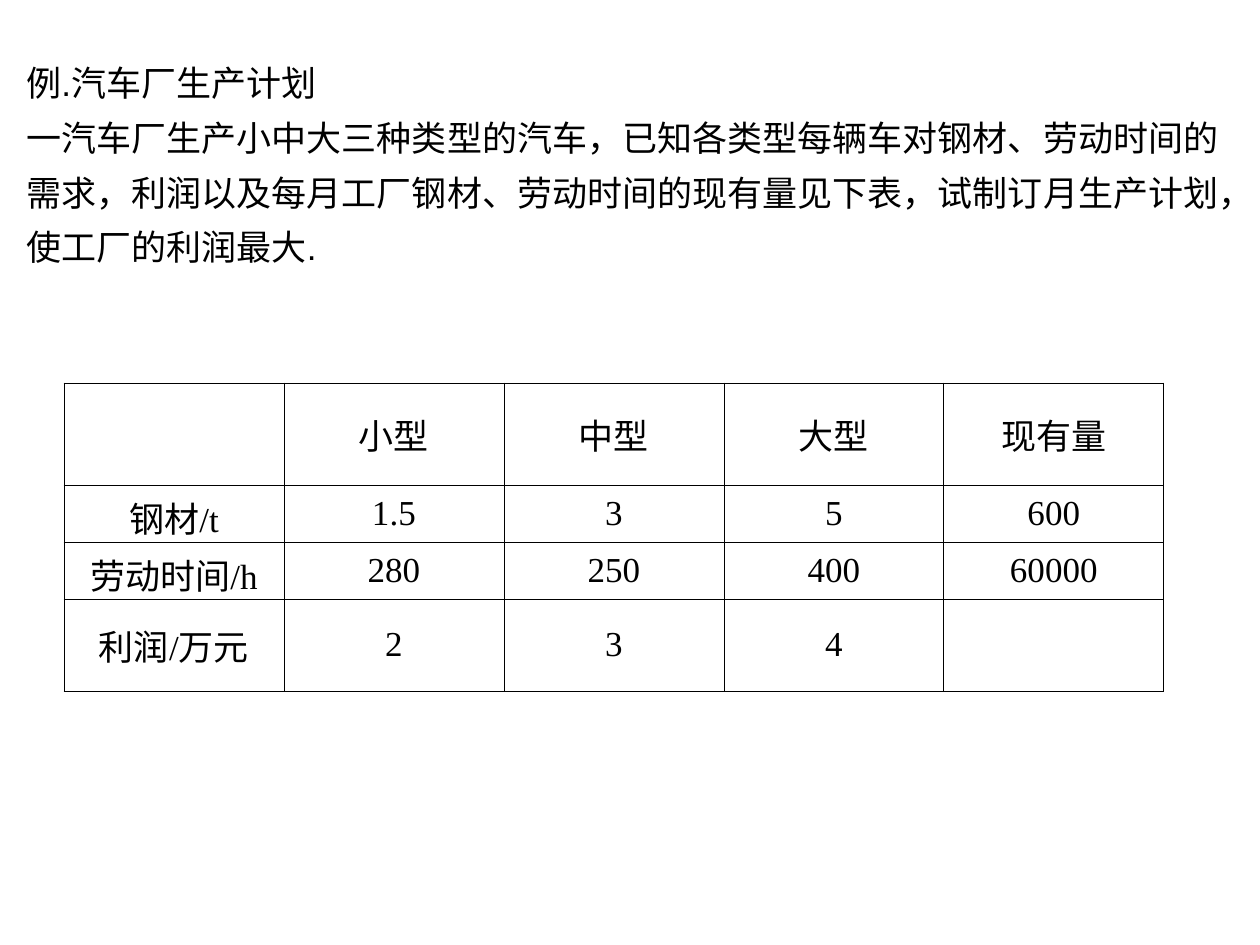
from lxml import etree
from pptx import Presentation
from pptx.dml.color import RGBColor
from pptx.enum.text import MSO_ANCHOR, PP_ALIGN
from pptx.oxml.ns import qn
from pptx.util import Emu, Pt

PX = 914400 / 126
BLACK = RGBColor(0x00, 0x00, 0x00)
LEFT, CENTER = PP_ALIGN.LEFT, PP_ALIGN.CENTER
MIDDLE = MSO_ANCHOR.MIDDLE


def px(length):
    return Emu(round(length * PX))


def write(para, text, font="Times New Roman", align=CENTER, spacing=None):
    para.alignment = align
    if spacing:
        para.line_spacing = spacing
    span = para.add_run()
    span.text = text
    span.font.name = font
    span.font.size = Pt(20)
    span.font.color.rgb = BLACK


deck = Presentation()
deck.slide_width, deck.slide_height = px(1260), px(945)
page = deck.slides.add_slide(deck.slide_layouts[6])

# Problem statement
STATEMENT = [
    "例.汽车厂生产计划",
    "一汽车厂生产小中大三种类型的汽车，已知各类型每辆车对钢材、劳动时间的",
    "需求，利润以及每月工厂钢材、劳动时间的现有量见下表，试制订月生产计划，",
    "使工厂的利润最大.",
]
box = page.shapes.add_textbox(px(14), px(43), px(1252), px(232))
frame = box.text_frame
frame.word_wrap = False
for index, line in enumerate(STATEMENT):
    para = frame.add_paragraph() if index else frame.paragraphs[0]
    write(para, line, font="Arial", align=LEFT, spacing=1.3)

# Production data table
ROWS = [
    ["", "小型", "中型", "大型", "现有量"],
    ["钢材/t", "1.5", "3", "5", "600"],
    ["劳动时间/h", "280", "250", "400", "60000"],
    ["利润/万元", "2", "3", "4", ""],
]
ROW_HEIGHTS = [102, 57, 57, 92]
COLUMN_WIDTH = 220
table = page.shapes.add_table(
    len(ROWS), len(ROWS[0]), px(64), px(383),
    px(COLUMN_WIDTH * len(ROWS[0])), px(sum(ROW_HEIGHTS))).table
table.first_row = table.horz_banding = False
for column in table.columns:
    column.width = px(COLUMN_WIDTH)

for row_index, (values, height) in enumerate(zip(ROWS, ROW_HEIGHTS)):
    table.rows[row_index].height = px(height)
    for column_index, value in enumerate(values):
        cell = table.cell(row_index, column_index)
        cell.vertical_anchor = MIDDLE
        if value:
            write(cell.text_frame.paragraphs[0], value)

        # Thin black borders come before the fill in the cell properties
        properties = cell._tc.get_or_add_tcPr()
        for side in ("a:lnL", "a:lnR", "a:lnT", "a:lnB"):
            border = etree.SubElement(properties, qn(side), w=str(Pt(0.45)))
            fill = etree.SubElement(border, qn("a:solidFill"))
            etree.SubElement(fill, qn("a:srgbClr"), val=str(BLACK))
        cell.fill.background()

deck.save("out.pptx")
